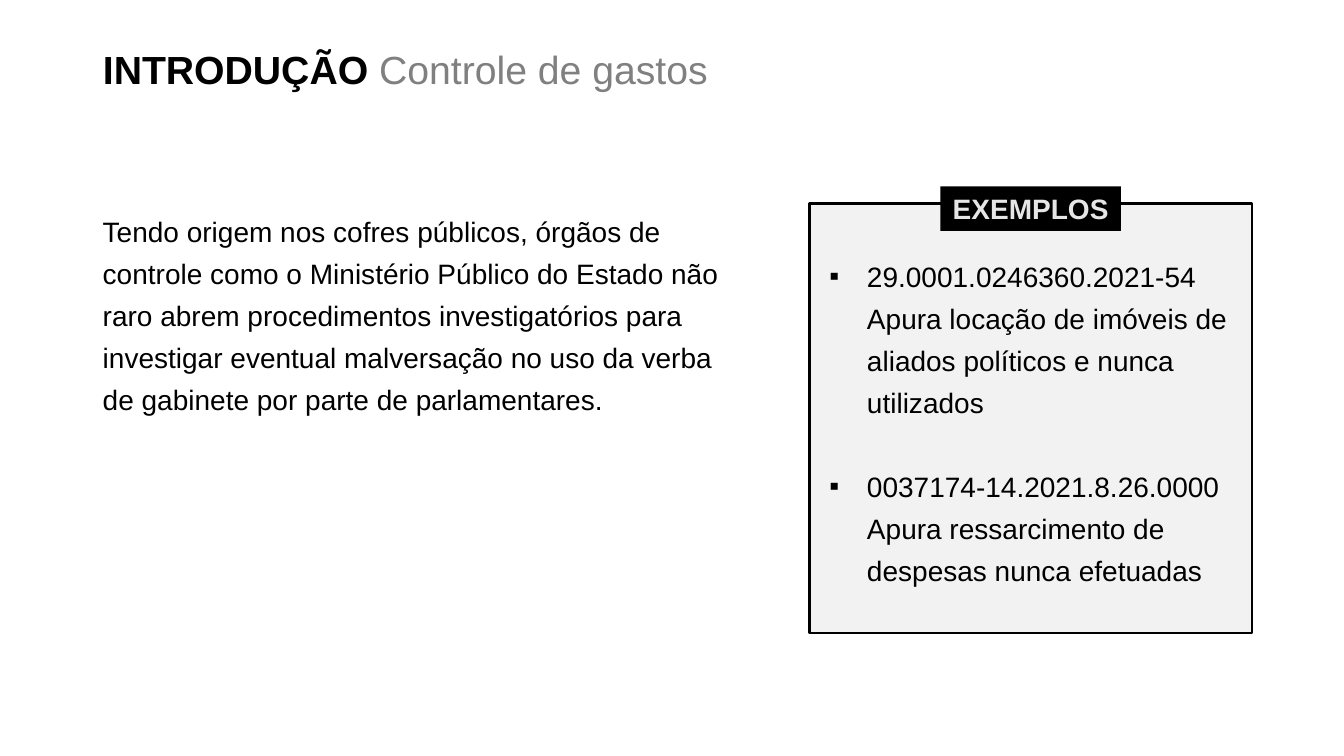
from lxml import etree
from pptx import Presentation
from pptx.dml.color import RGBColor
from pptx.enum import shapes, text
from pptx.oxml import ns
from pptx.util import Cm, Pt


def rgb(value):
    return RGBColor.from_string(value)


def add_run(p, content, color="000000", **fmt):
    r = p.add_run()
    r.text = content
    r.font.color.rgb = rgb(color)
    for name, value in {"name": "Arial", "size": Pt(20), "bold": False, **fmt}.items():
        setattr(r.font, name, value)


prs = Presentation()
prs.slide_width, prs.slide_height = Cm(33.87), Cm(19.05)
s = prs.slides.add_slide(prs.slide_layouts[5])

# Title
title = s.shapes.title
title.left, title.top, title.width, title.height = Cm(2.34), Cm(1.02), Cm(29.21), Cm(3.68)
tf = title.text_frame
tf.vertical_anchor = text.MSO_ANCHOR.TOP
p = tf.paragraphs[0]
p.alignment = text.PP_ALIGN.LEFT
add_run(p, "INTRODUÇÃO ", size=Pt(28), bold=True)
add_run(p, "Controle de gastos", "808080", size=Pt(28))

# Introduction
intro = s.shapes.add_textbox(Cm(2.34), Cm(5.08), Cm(16.64), Cm(12.47))
tf = intro.text_frame
tf.word_wrap = True
p = tf.paragraphs[0]
p.line_spacing = Pt(30)
add_run(p, "Tendo origem nos cofres públicos, órgãos de controle como o Ministério Público "
           "do Estado não raro abrem procedimentos investigatórios para investigar eventual "
           "malversação no uso da verba de gabinete por parte de parlamentares.")

# Examples box and its label
RECT = shapes.MSO_SHAPE.RECTANGLE
box = s.shapes.add_shape(RECT, Cm(20.4), Cm(5.13), Cm(11.15), Cm(10.82))
label = s.shapes.add_shape(RECT, Cm(23.7), Cm(4.7), Cm(4.55), Cm(1.12))
for sp, fill in ((box, "F2F2F2"), (label, "000000")):
    sp.shadow.inherit = False
    sp.fill.solid()
    sp.fill.fore_color.rgb = rgb(fill)
    sp.text_frame.word_wrap = True
box.line.color.rgb = rgb("000000")
box.line.width = Pt(1.5)
label.line.fill.background()

tf = box.text_frame
tf.vertical_anchor = text.MSO_ANCHOR.TOP
tf.margin_left = tf.margin_right = Cm(0.5)
tf.margin_top = Cm(1.19)
examples = (
    "29.0001.0246360.2021-54 Apura locação de imóveis de aliados políticos e nunca utilizados",
    "0037174-14.2021.8.26.0000 Apura ressarcimento de despesas nunca efetuadas",
)
for i, example in enumerate(examples):
    p = tf.add_paragraph() if i else tf.paragraphs[0]
    p.alignment = text.PP_ALIGN.LEFT
    p.line_spacing = Pt(30)
    p.space_before = Pt(30 * i)
    add_run(p, example)
    pPr = p._p.get_or_add_pPr()
    pPr.set("marL", str(Cm(0.95)))
    pPr.set("indent", str(-Cm(0.95)))
    etree.SubElement(pPr, ns.qn("a:buFont"), typeface="Arial")
    etree.SubElement(pPr, ns.qn("a:buChar"), char="▪")

p = label.text_frame.paragraphs[0]
p.alignment = text.PP_ALIGN.CENTER
add_run(p, "EXEMPLOS", "E7E6E6", bold=True)

prs.save("out.pptx")
